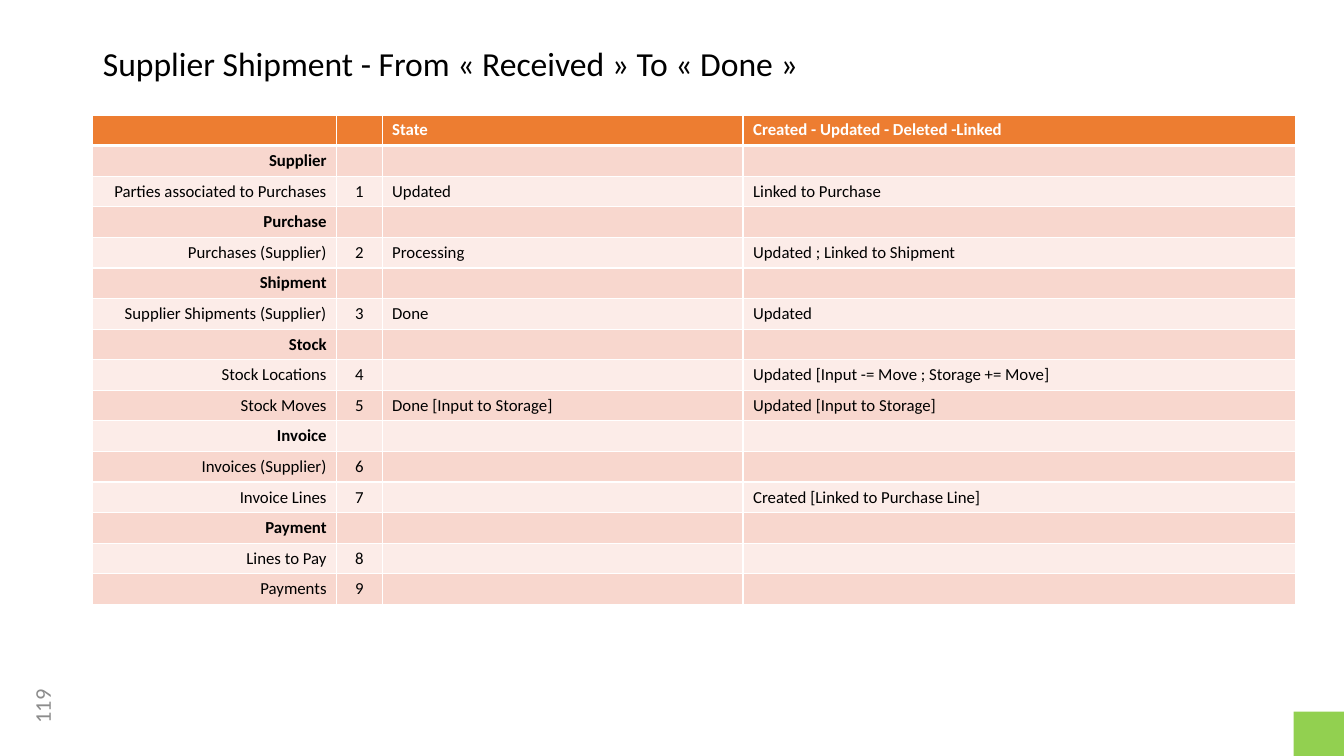
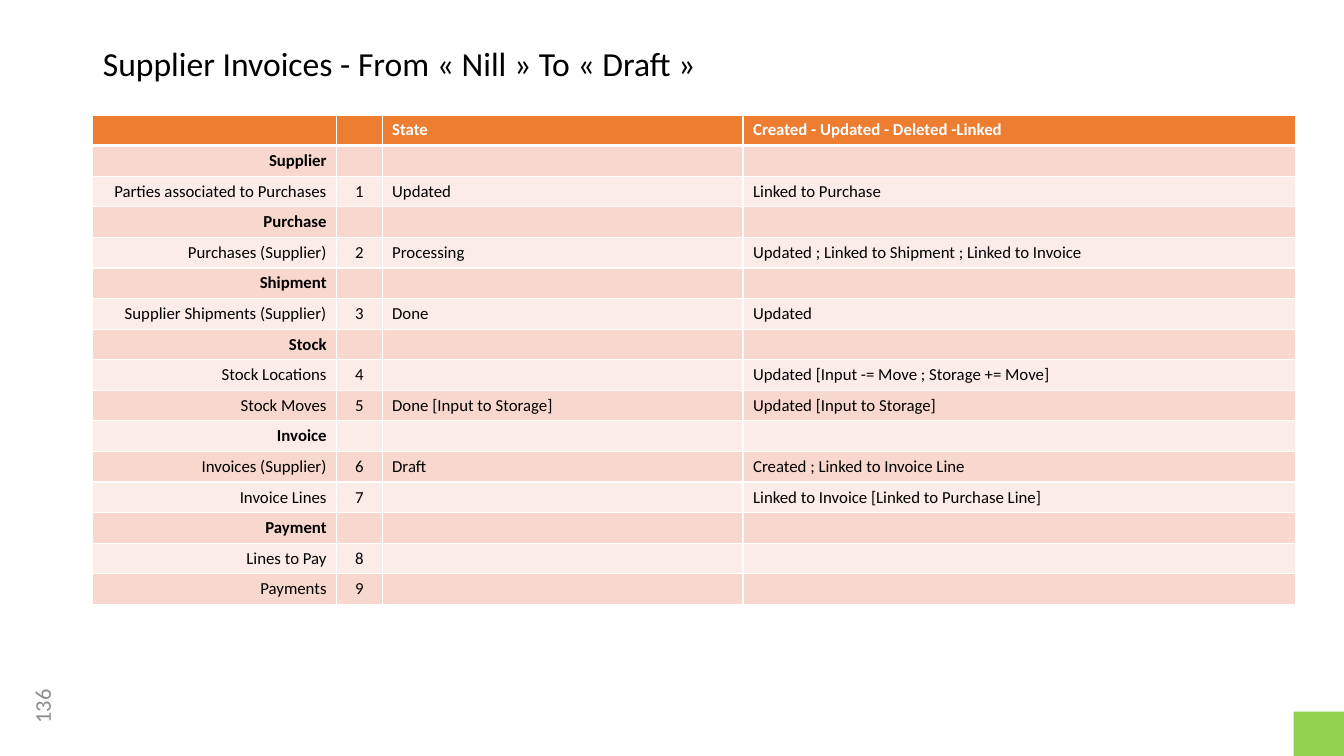
"""Build two slides that track supplier records from one state to the next."""
from dataclasses import dataclass
from itertools import count

from lxml import etree
from pptx import Presentation
from pptx.dml.color import RGBColor
from pptx.enum import shapes, text
from pptx.oxml import ns
from pptx.util import Inches, Pt

COLOURS = {
    "header": "ED7D31",
    "band_dark": "F8D7CE",
    "band_light": "FCECE8",
    "white": "FFFFFF",
    "black": "000000",
    "number": "8C8C8C",
    "corner": "92D050",
}
FONT = "Calibri"
CELL_SIZE = 12
COLUMN_WIDTHS = (2.42, 0.45, 3.58, 5.48)
ROW_HEIGHT = 0.3
ALIGN = text.PP_ALIGN
COLUMN_ALIGNS = (ALIGN.RIGHT, ALIGN.CENTER, ALIGN.LEFT, ALIGN.LEFT)
HEADINGS = ("", "", "State", "Created - Updated - Deleted -Linked")
SECTIONS = {
    "Supplier": ["Parties associated to Purchases"],
    "Purchase": ["Purchases (Supplier)"],
    "Shipment": ["Supplier Shipments (Supplier)"],
    "Stock": ["Stock Locations", "Stock Moves"],
    "Invoice": ["Invoices (Supplier)", "Invoice Lines"],
    "Payment": ["Lines to Pay", "Payments"],
}
SHARED_ENTRIES = {
    "Parties associated to Purchases": ("Updated", "Linked to Purchase"),
    "Supplier Shipments (Supplier)": ("Done", "Updated"),
    "Stock Locations": ("", "Updated [Input -= Move ; Storage += Move]"),
    "Stock Moves": ("Done [Input to Storage]", "Updated [Input to Storage]"),
}


@dataclass(frozen=True)
class Transition:
    subject: str
    before: str
    after: str
    number: int
    entries: dict[str, tuple[str, str]]


@dataclass(frozen=True)
class Row:
    values: tuple[str, ...]
    fill: str
    colour: str = "black"
    bold: bool = False


TRANSITIONS = (
    Transition("Supplier Shipment", "Received", "Done", 119, {
        "Purchases (Supplier)": ("Processing", "Updated ; Linked to Shipment"),
        "Invoice Lines": ("", "Created [Linked to Purchase Line]"),
    }),
    Transition("Supplier Invoices", "Nill", "Draft", 136, {
        "Purchases (Supplier)": (
            "Processing", "Updated ; Linked to Shipment ; Linked to Invoice"),
        "Invoices (Supplier)": ("Draft", "Created ; Linked to Invoice Line"),
        "Invoice Lines": ("", "Linked to Invoice [Linked to Purchase Line]"),
    }),
)


def rgb(name: str) -> RGBColor:
    return RGBColor.from_string(COLOURS[name])


def add_span(para, words: str, size: int, colour: str, bold: bool = False) -> None:
    span = para.add_run()
    span.text = words
    span.font.name = FONT
    span.font.size = Pt(size)
    span.font.bold = bold
    span.font.color.rgb = rgb(colour)


def add_title(page, transition: Transition) -> None:
    title = page.shapes.title
    title.left, title.top = Inches(0.92), Inches(0.4)
    title.width, title.height = Inches(11.5), Inches(0.51)
    title.text_frame.vertical_anchor = text.MSO_ANCHOR.MIDDLE
    para = title.text_frame.paragraphs[0]
    para.alignment = ALIGN.LEFT
    para.line_spacing = 0.9
    words = f"{transition.subject} - From « {transition.before} » To « {transition.after} »"
    add_span(para, words, 24, "black")


def add_footer(page, number: int) -> None:
    box = page.shapes.add_textbox(Inches(0.04), Inches(6.81), Inches(0.75), Inches(0.4))
    box.rotation = 270
    box.text_frame.word_wrap = True
    box.text_frame.vertical_anchor = text.MSO_ANCHOR.MIDDLE
    para = box.text_frame.paragraphs[0]
    para.alignment = ALIGN.CENTER
    add_span(para, str(number), 16, "number")
    corner = page.shapes.add_shape(
        shapes.MSO_SHAPE.RECTANGLE,
        Inches(12.83), Inches(7.06), Inches(0.51), Inches(0.44))
    corner.shadow.inherit = False
    corner.fill.solid()
    corner.fill.fore_color.rgb = rgb("corner")
    corner.line.fill.background()


def table_rows(transition: Transition) -> list[Row]:
    entries = SHARED_ENTRIES | transition.entries
    numbers = count(1)
    lines = []
    for section, labels in SECTIONS.items():
        lines.append(((section, "", "", ""), True))
        for label in labels:
            state, change = entries.get(label, ("", ""))
            lines.append(((label, str(next(numbers)), state, change), False))
    bands = ("band_dark", "band_light")
    body = [Row(values, bands[index % 2], bold=bold)
            for index, (values, bold) in enumerate(lines)]
    return [Row(HEADINGS, "header", "white", True), *body]


def set_borders(cell, top: int, bottom: int) -> None:
    properties = cell._tc.get_or_add_tcPr()
    for side, width in (("L", 1), ("R", 1), ("T", top), ("B", bottom)):
        line = etree.SubElement(properties, ns.qn(f"a:ln{side}"), w=str(Pt(width)))
        fill = etree.SubElement(line, ns.qn("a:solidFill"))
        etree.SubElement(fill, ns.qn("a:srgbClr"), val=COLOURS["white"])


def fill_cell(cell, words: str, row: Row, align: ALIGN) -> None:
    cell.fill.solid()
    cell.fill.fore_color.rgb = rgb(row.fill)
    para = cell.text_frame.paragraphs[0]
    para.alignment = align
    if words:
        add_span(para, words, CELL_SIZE, row.colour, row.bold)
    else:
        etree.SubElement(para._p, ns.qn("a:endParaRPr"), sz=str(CELL_SIZE * 100))


def add_state_table(page, rows: list[Row]) -> None:
    frame = page.shapes.add_table(
        len(rows), len(COLUMN_WIDTHS), Inches(0.92), Inches(1.14),
        Inches(sum(COLUMN_WIDTHS)), Inches(ROW_HEIGHT * len(rows)))
    table = frame.table
    for column, width in zip(table.columns, COLUMN_WIDTHS):
        column.width = Inches(width)
    for index, row in enumerate(rows):
        table.rows[index].height = Inches(ROW_HEIGHT)
        top = 3 if index == 1 else 1
        bottom = 3 if index == 0 else 1
        for position, (words, align) in enumerate(zip(row.values, COLUMN_ALIGNS)):
            cell = table.cell(index, position)
            set_borders(cell, top, bottom)
            fill_cell(cell, words, row, align)


def main() -> None:
    deck = Presentation()
    deck.slide_width, deck.slide_height = Inches(13.33), Inches(7.5)
    for transition in TRANSITIONS:
        page = deck.slides.add_slide(deck.slide_layouts[5])
        add_title(page, transition)
        add_state_table(page, table_rows(transition))
        add_footer(page, transition.number)
    deck.save("out.pptx")


if __name__ == "__main__":
    main()
